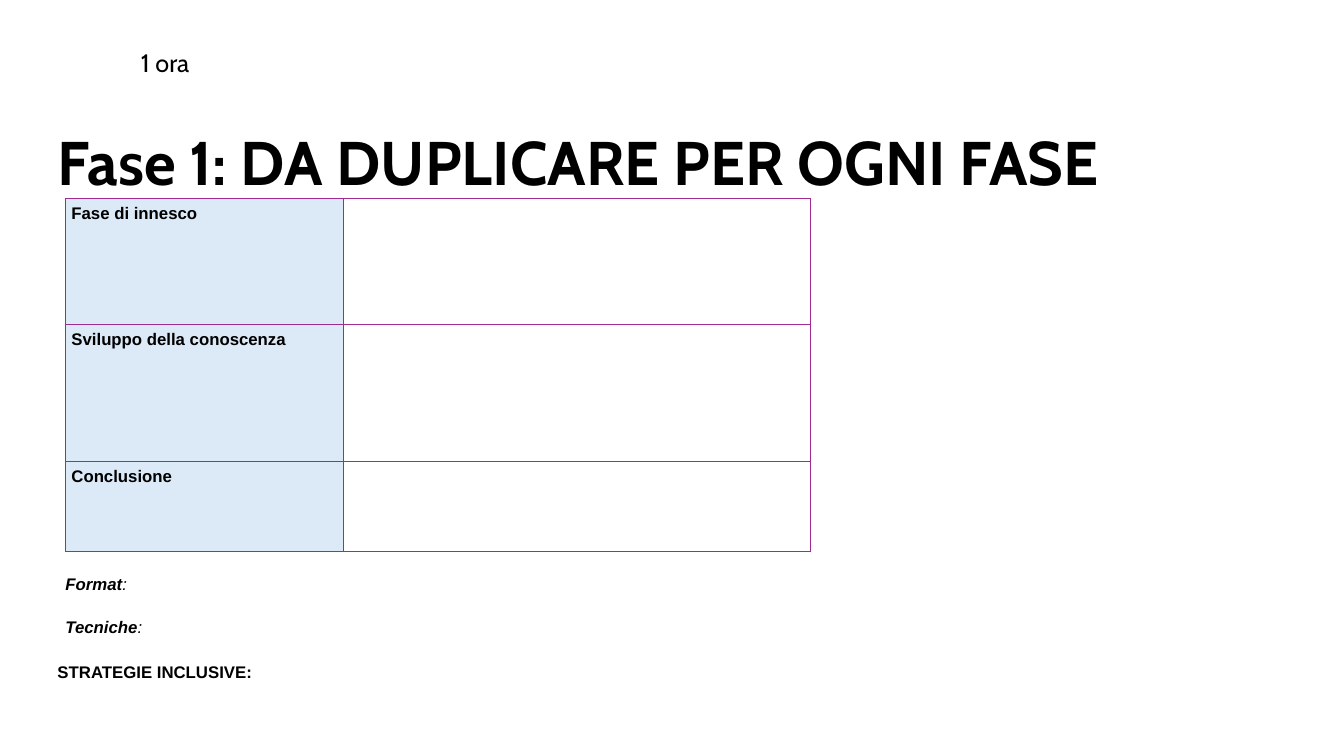
import pptx
import pptx.dml.color
import pptx.enum.text
import pptx.oxml
import pptx.oxml.ns
import pptx.util

Cm = pptx.util.Cm
BLACK, WHITE, BLUE = "000000", "FFFFFF", "DCEAF7"
PURPLE, GREY = "A02B93", "595959"
PHASES = [
    ("Fase di innesco", 3.18),
    ("Sviluppo della conoscenza", 3.45),
    ("Conclusione", 2.26),
]
COLUMN_WIDTHS = [7.01, 11.76]
ROW_LINES = [PURPLE, PURPLE, GREY, GREY]
COLUMN_LINES = [GREY, GREY, PURPLE]


def rgb(value):
    """Return the colour for a hex string."""
    return pptx.dml.color.RGBColor.from_string(value)


def add_run(p, text, size=12, font="Arial", bold=True, italic=False):
    """Add one formatted run to a paragraph."""
    r = p.add_run()
    r.text = text
    r.font.name = font
    r.font.size = pptx.util.Pt(size)
    r.font.bold = bold
    r.font.italic = italic
    r.font.color.rgb = rgb(BLACK)


def add_box(s, left, top, width, height, insets=(0, 0.13, 0.25, 0.13)):
    """Add a wrapping text box and return its text frame."""
    tf = s.shapes.add_textbox(Cm(left), Cm(top), Cm(width), Cm(height)).text_frame
    tf.word_wrap = True
    tf.margin_left, tf.margin_top, tf.margin_right, tf.margin_bottom = map(Cm, insets)
    return tf


def set_border(cell, side, color):
    """Draw a one-point line on one side of a cell."""
    ns = pptx.oxml.ns.nsdecls("a")
    cell._tc.get_or_add_tcPr().append(pptx.oxml.parse_xml(
        f'<a:ln{side} {ns} w="12700"><a:solidFill><a:srgbClr val="{color}"/>'
        f'</a:solidFill></a:ln{side}>'))


def style_cell(cell, row, col):
    """Set the margins, borders and fill of a cell."""
    cell.margin_left = cell.margin_right = Cm(0.15)
    cell.margin_top = cell.margin_bottom = Cm(0.15)
    set_border(cell, "L", COLUMN_LINES[col])
    set_border(cell, "R", COLUMN_LINES[col + 1])
    set_border(cell, "T", ROW_LINES[row])
    set_border(cell, "B", ROW_LINES[row + 1])
    cell.fill.solid()
    cell.fill.fore_color.rgb = rgb(WHITE if col else BLUE)


def add_phase_table(s, left, top):
    """Add the table of lesson phases."""
    width, height = sum(COLUMN_WIDTHS), sum(h for _, h in PHASES)
    table = s.shapes.add_table(len(PHASES), len(COLUMN_WIDTHS), Cm(left), Cm(top),
                               Cm(width), Cm(height)).table
    table.first_row = table.horz_banding = False
    for col, col_width in enumerate(COLUMN_WIDTHS):
        table.columns[col].width = Cm(col_width)
    for row, (phase, row_height) in enumerate(PHASES):
        table.rows[row].height = Cm(row_height)
        for col in range(len(COLUMN_WIDTHS)):
            style_cell(table.cell(row, col), row, col)
        add_run(table.cell(row, 0).text_frame.paragraphs[0], phase)


def add_methods(s):
    """Add the format and technique labels."""
    tf = add_box(s, 1.65, 14.38, 13.03, 2.08)
    for i, label in enumerate(["Format", "Tecniche"]):
        p = tf.add_paragraph() if i else tf.paragraphs[0]
        p.line_spacing = 0.9
        if i:
            p.space_before = pptx.util.Pt(18)
        add_run(p, label, italic=True)
        add_run(p, ":", bold=False, italic=True)


def main():
    """Build and save the slide."""
    prs = pptx.Presentation()
    prs.slide_width, prs.slide_height = Cm(33.87), Cm(19.05)
    s = prs.slides.add_slide(prs.slide_layouts[6])

    tf = add_box(s, 1.45, 0.61, 30.48, 4.37, (0, 0, 0, 0))
    tf.vertical_anchor = pptx.enum.text.MSO_ANCHOR.BOTTOM
    tf.paragraphs[0].line_spacing = 0.8
    add_run(tf.paragraphs[0], "Fase 1: DA DUPLICARE PER OGNI FASE", 44, "Cabin")

    add_methods(s)
    add_phase_table(s, 1.65, 5)

    tf = add_box(s, 1.45, 16.46, 14.63, 2.08)
    tf.paragraphs[0].line_spacing = 1.15
    add_run(tf.paragraphs[0], "STRATEGIE INCLUSIVE:")

    tf = add_box(s, 3.3, 1.07, 4.55, 0.86, (0.25, 0.13, 0.25, 0.13))
    add_run(tf.paragraphs[0], "1 ora", 18, "Cabin", bold=False)
    prs.save("out.pptx")


if __name__ == "__main__":
    main()
